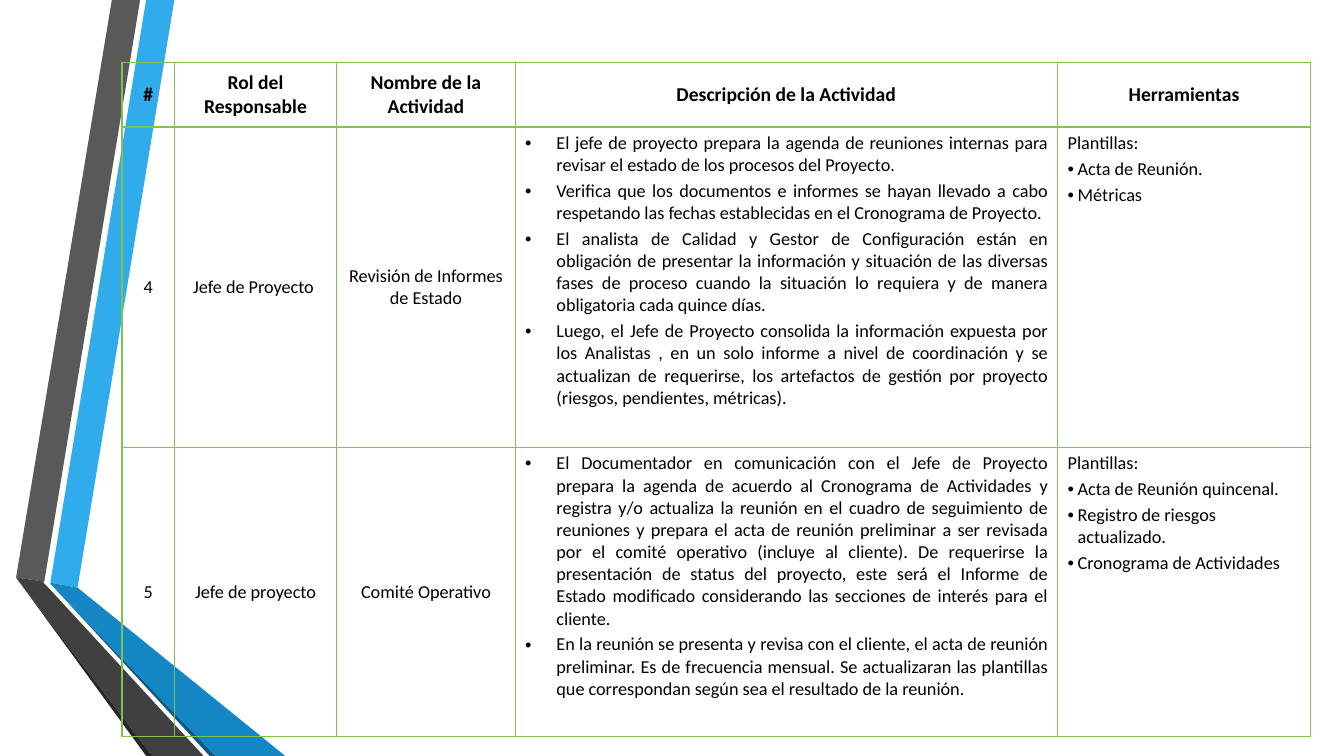
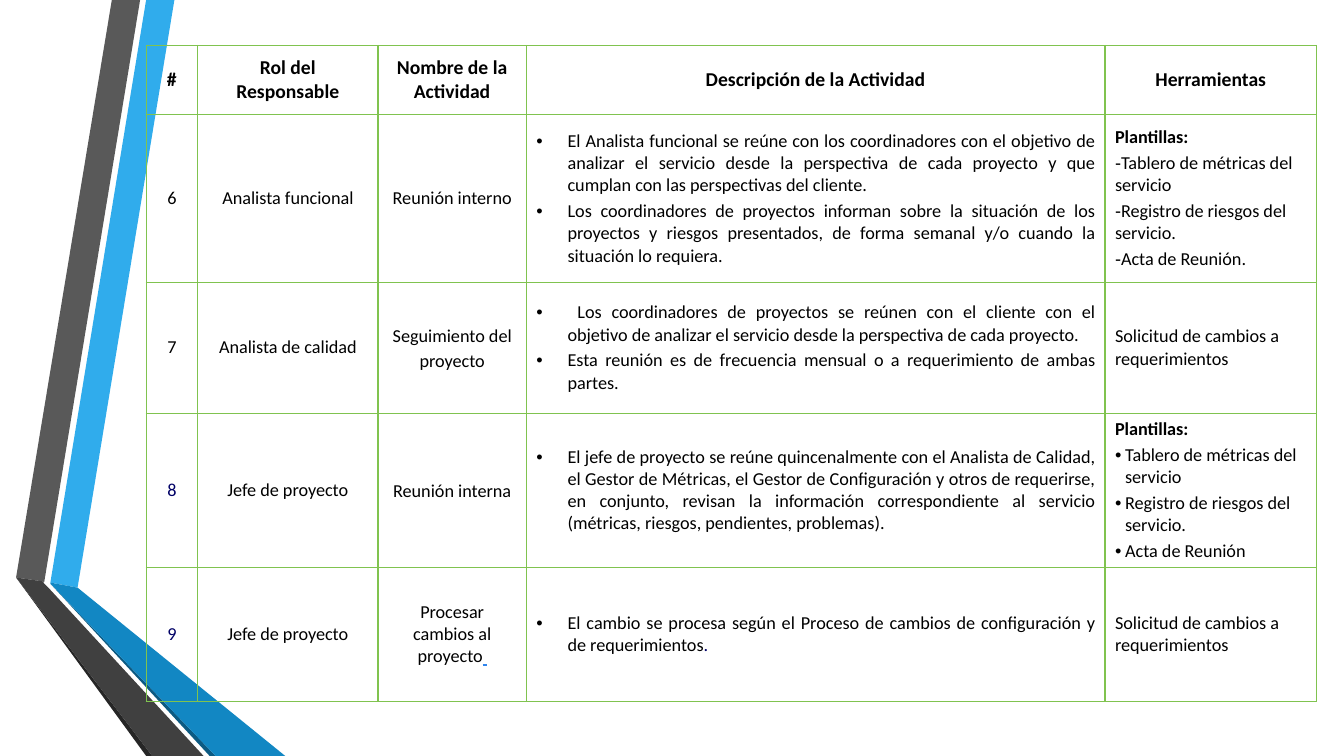
from lxml.etree import SubElement
from pptx import Presentation
from pptx.dml.color import RGBColor
from pptx.enum.text import MSO_ANCHOR as ANCHOR, PP_ALIGN as ALIGN
from pptx.oxml.ns import qn
from pptx.util import Inches, Pt

BLACK = RGBColor(0x00, 0x00, 0x00)
NAVY = RGBColor(0x00, 0x00, 0x66)
LINK_BLUE = RGBColor(0x30, 0x85, 0xED)
GREEN = RGBColor(0x80, 0xC3, 0x4F)
SKY = RGBColor(0x30, 0xAC, 0xEC)
GRAY = RGBColor(0x59, 0x59, 0x59)
SOOT = RGBColor(0x26, 0x26, 0x26)
DEEP_BLUE = RGBColor(0x0C, 0x5A, 0x82)
BLUE = RGBColor(0x12, 0x87, 0xC3)
CHARCOAL = RGBColor(0x40, 0x40, 0x40)

BANDS = [
    (SKY, [(0.5, 5.78), (0.77, 5.83), (1.73, 0), (1.45, 0)]),
    (GRAY, [(1.39, 0), (1.11, 0), (0.16, 5.73), (0.44, 5.77)]),
    (SOOT, [(0.16, 5.73), (1.45, 7.5), (1.51, 7.5)]),
    (DEEP_BLUE, [(0.5, 5.79), (2.08, 7.5), (2.14, 7.5)]),
    (BLUE, [(0.5, 5.79), (2.14, 7.5), (2.83, 7.5), (0.77, 5.83), (0.5, 5.78)]),
    (CHARCOAL, [(2.02, 7.5), (0.48, 5.83), (0.43, 5.78), (0.44, 5.77),
                (0.16, 5.73), (1.51, 7.5)]),
]

KINDS = {
    "header": {"align": ALIGN.CENTER, "font": {"size": Pt(14), "bold": True}},
    "center": {"align": ALIGN.CENTER},
    "loose": {"align": ALIGN.CENTER, "line_spacing": 1.1},
    "point": {"align": ALIGN.JUSTIFY, "bullet": "•", "indent": 0.31},
    "label": {"align": ALIGN.JUSTIFY},
    "bold": {"font": {"bold": True}},
    "item": {"bullet": "•", "indent": 0.1},
    "dash": {"bullet": "-"},
    "plain": {},
}

HEADERS = ["#", "Rol del Responsable", "Nombre de la Actividad",
           "Descripción de la Actividad", "Herramientas"]


def paragraphs(kind, *texts):
    """Pair each text with one paragraph kind."""
    return [(kind, text) for text in texts]


def activity(number, role, name, points, tools, name_kind="center"):
    """Return the five cells of an activity row."""
    return [paragraphs("center", number), paragraphs("center", role),
            paragraphs(name_kind, name), paragraphs("point", *points), tools]


def templates(label_kind, item_kind, *items):
    """Return the list of templates under its label."""
    return paragraphs(label_kind, "Plantillas:") + paragraphs(item_kind, *items)


CHANGE_REQUEST = paragraphs("plain", "Solicitud de cambios a requerimientos ")

PROJECT_REVIEWS = [
    activity(
        "4", "Jefe de Proyecto ", "Revisión de Informes de Estado",
        ["El jefe de proyecto prepara la agenda de reuniones internas para revisar "
         "el estado de los procesos del Proyecto.",
         "Verifica que los documentos e informes se hayan llevado a cabo respetando "
         "las fechas establecidas en el Cronograma de Proyecto.",
         "El analista de Calidad y Gestor de Configuración están en obligación de "
         "presentar la información y situación de las diversas fases de proceso "
         "cuando la situación lo requiera y de manera obligatoria cada quince días.",
         "Luego, el Jefe de Proyecto consolida la información expuesta por los "
         "Analistas , en un solo informe a nivel de coordinación y se actualizan de "
         "requerirse, los artefactos de gestión por proyecto (riesgos, pendientes, "
         "métricas). "],
        templates("label", "item", "Acta de Reunión.", "Métricas")),
    activity(
        "5", "Jefe de proyecto", "Comité Operativo",
        ["El Documentador en comunicación con el Jefe de Proyecto prepara la agenda "
         "de acuerdo al Cronograma de Actividades y registra y/o actualiza la "
         "reunión en el cuadro de seguimiento de reuniones y prepara el acta de "
         "reunión preliminar a ser revisada por el comité operativo (incluye al "
         "cliente). De requerirse la presentación de status del proyecto, este será "
         "el Informe de Estado modificado considerando las secciones de interés "
         "para el cliente.",
         "En la reunión se presenta y revisa con el cliente, el acta de reunión "
         "preliminar. Es de frecuencia mensual. Se actualizaran las plantillas que "
         "correspondan según sea el resultado de la reunión."],
        templates("label", "item", "Acta de Reunión quincenal.",
                  "Registro de riesgos actualizado.", "Cronograma de Actividades ")),
]

SERVICE_REVIEWS = [
    activity(
        "6", "Analista funcional", "Reunión interno",
        ["El Analista funcional se reúne con los coordinadores con el objetivo de "
         "analizar el servicio desde la perspectiva de cada proyecto y que cumplan "
         "con las perspectivas del cliente.",
         "Los coordinadores de proyectos informan sobre la situación de los "
         "proyectos y riesgos presentados, de forma semanal y/o cuando la situación "
         "lo requiera."],
        templates("bold", "dash", "Tablero de métricas del servicio",
                  "Registro de riesgos del servicio.", "Acta de Reunión.")),
    activity(
        "7", "Analista de calidad", "Seguimiento del proyecto",
        [" Los coordinadores de proyectos se reúnen con el cliente con el objetivo "
         "de analizar el servicio desde la perspectiva de cada proyecto.",
         "Esta reunión es de frecuencia mensual o a requerimiento de ambas partes."],
        CHANGE_REQUEST, "loose"),
    activity(
        [("8", {"color": NAVY})], "Jefe de proyecto", "Reunión interna",
        ["El jefe de proyecto se reúne quincenalmente con el Analista de Calidad, "
         "el Gestor de Métricas, el Gestor de Configuración y otros de requerirse, "
         "en conjunto, revisan la información correspondiente al servicio "
         "(métricas, riesgos, pendientes, problemas)."],
        templates("bold", "item", "Tablero de métricas del servicio",
                  "Registro de riesgos del servicio.", "Acta de Reunión"), "loose"),
    activity(
        [("9", {"color": NAVY})], "Jefe de proyecto",
        [("Procesar cambios al proyecto", {}),
         (" ", {"color": LINK_BLUE, "underline": True})],
        [[("El cambio se procesa según el Proceso de cambios de configuración y de "
           "requerimientos", {}), (".", {"color": NAVY})]],
        CHANGE_REQUEST),
]


def add_bands(s):
    """Draw the folded bands at the left edge."""
    for color, points in BANDS:
        start, *rest = [(Inches(x), Inches(y)) for x, y in points]
        builder = s.shapes.build_freeform(*start)
        builder.add_line_segments(rest)
        sp = builder.convert_to_shape()
        sp.shadow.inherit = False
        sp.fill.solid()
        sp.fill.fore_color.rgb = color
        sp.line.fill.background()


def add_run(p, text, values):
    """Add a run with font values over the table defaults."""
    r = p.add_run()
    r.text = text
    font = {"name": "Calibri", "size": Pt(13), "bold": False, "color": BLACK, **values}
    r.font.color.rgb = font.pop("color")
    for name, value in font.items():
        setattr(r.font, name, value)


def write_paragraph(p, kind, text):
    """Write one paragraph in the format of its kind."""
    style = KINDS[kind]
    p.alignment = style.get("align", ALIGN.LEFT)
    pPr = p._p.get_or_add_pPr()
    if "line_spacing" in style:
        p.line_spacing = style["line_spacing"]
    else:
        SubElement(SubElement(pPr, qn("a:spcBef")), qn("a:spcPct"), val="20000")
    if "bullet" in style:
        indent = Inches(style.get("indent", 0))
        pPr.set("marL", str(indent))
        pPr.set("indent", str(-indent))
        SubElement(pPr, qn("a:buFont"), typeface="Arial")
        SubElement(pPr, qn("a:buChar"), char=style["bullet"])
    runs = [(text, {})] if isinstance(text, str) else text
    for part, values in runs:
        add_run(p, part, {**style.get("font", {}), **values})


def format_cell(cell, anchor):
    """Give a cell green borders, no fill and an anchor."""
    tcPr = cell._tc.get_or_add_tcPr()
    for side in ("lnL", "lnR", "lnT", "lnB"):
        ln = SubElement(tcPr, qn(f"a:{side}"), w=str(Pt(1)))
        SubElement(SubElement(ln, qn("a:solidFill")), qn("a:srgbClr"), val=str(GREEN))
    cell.fill.background()
    cell.vertical_anchor = anchor


def add_activity_table(s, left, top, widths, heights, activities, body_anchor):
    """Add a table of activities under the common headers."""
    rows = [[paragraphs("header", text) for text in HEADERS]] + activities
    table = s.shapes.add_table(
        len(rows), len(widths), Inches(left), Inches(top),
        Inches(sum(widths)), Inches(sum(heights))).table
    table.first_row = table.horz_banding = False
    for column, width in zip(table.columns, widths):
        column.width = Inches(width)
    for row, height in zip(table.rows, heights):
        row.height = Inches(height)
    for i, row in enumerate(rows):
        for j, content in enumerate(row):
            cell = table.cell(i, j)
            format_cell(cell, body_anchor if i > 0 and j > 2 else ANCHOR.MIDDLE)
            tf = cell.text_frame
            for k, (kind, text) in enumerate(content):
                p = tf.add_paragraph() if k else tf.paragraphs[0]
                write_paragraph(p, kind, text)


def add_activity_slide(prs, *table_args):
    """Add a slide with the bands and an activity table."""
    s = prs.slides.add_slide(prs.slide_layouts[6])
    add_bands(s)
    add_activity_table(s, *table_args)


def main():
    """Build and save the presentation."""
    prs = Presentation()
    prs.slide_width, prs.slide_height = Inches(13.33), Inches(7.5)
    add_activity_slide(prs, 1.21, 0.62, [0.52, 1.61, 1.77, 5.38, 2.51],
                       [0.64, 3.18, 2.87], PROJECT_REVIEWS, ANCHOR.TOP)
    add_activity_slide(prs, 1.45, 0.45, [0.51, 1.79, 1.47, 5.74, 2.1],
                       [0.69, 1.66, 1.3, 1.53, 1.33], SERVICE_REVIEWS, ANCHOR.MIDDLE)
    prs.save("out.pptx")


main()
